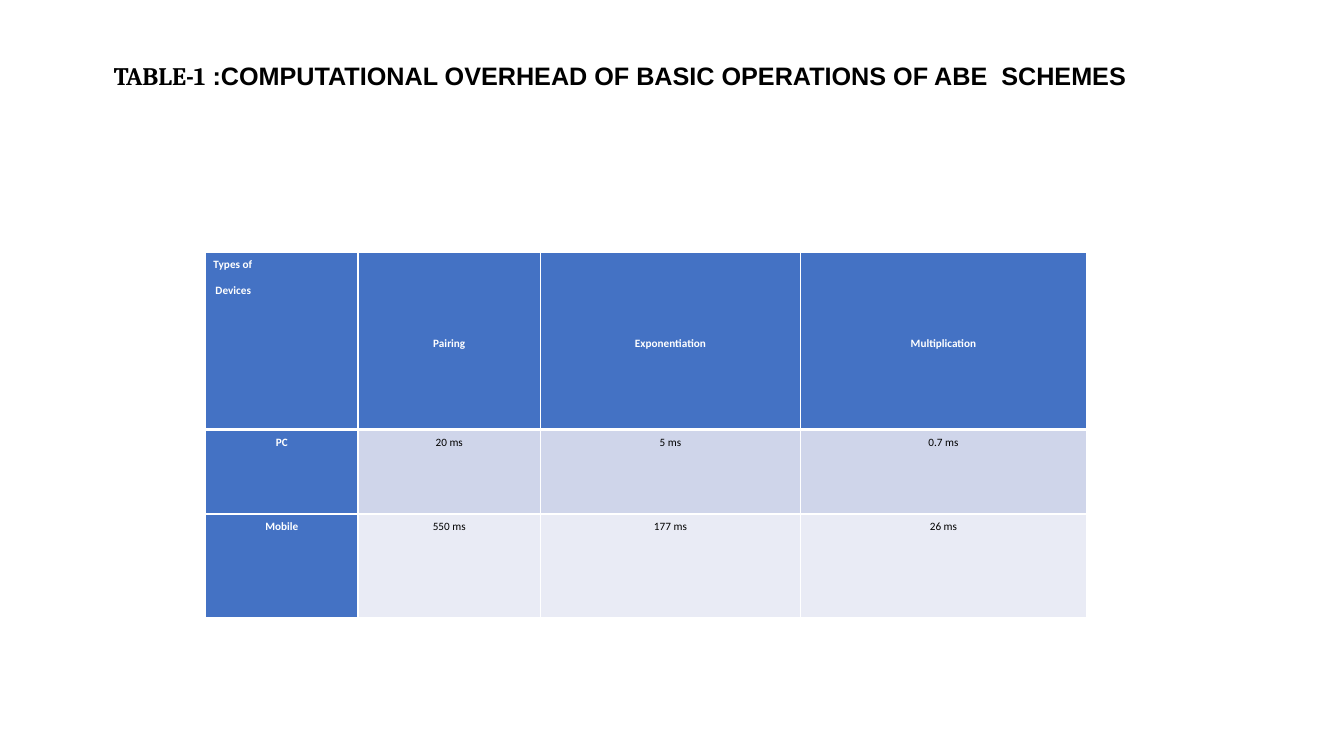
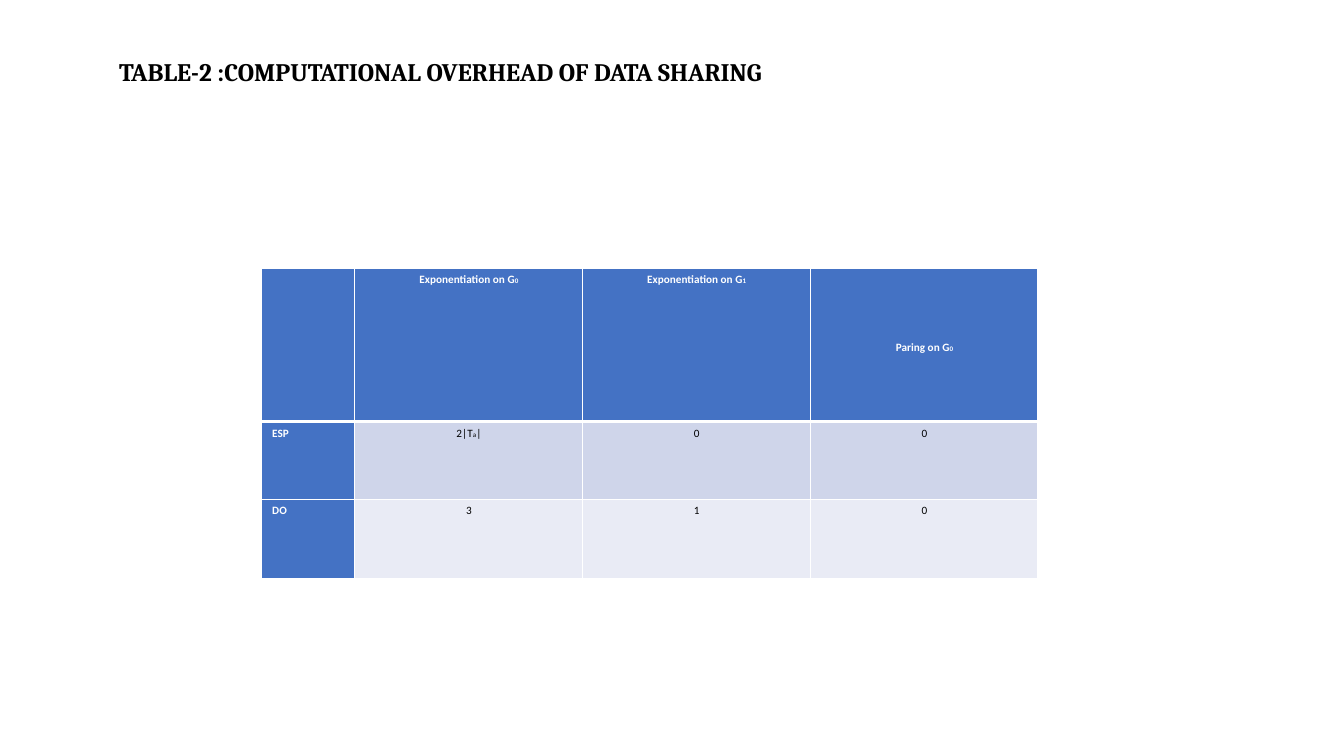
from lxml import etree
from pptx import Presentation
from pptx.dml.color import RGBColor
from pptx.enum.text import MSO_ANCHOR, PP_ALIGN
from pptx.oxml.ns import qn
from pptx.util import Cm, Pt

COLORS = {"black": "000000", "white": "FFFFFF", "head": "4472C4",
          "band_dark": "CFD5EA", "band_light": "E9EBF5"}
BANDS = ("band_dark", "band_light")
TITLE_BOX = (2.34, 1.02, 29.21, 3.68)
TITLE_SIZE, CELL_SIZE, SUBSCRIPT_SIZE = 18, 8, 5
RULE, HEAD_RULE = 1, 3

# Lengths are centimetres. In a cell, underscores enclose a subscript
# and a line break starts a new paragraph.
SLIDES = [
    {
        "title": [("TABLE-1", "Cambria"),
                  (" :COMPUTATIONAL OVERHEAD OF BASIC OPERATIONS OF ABE  SCHEMES ",
                   "Arial")],
        "title_indent": 0.28, "title_spacing": 1.07,
        "corner": (5.18, 6.35),
        "columns": (3.84, 4.6, 6.55, 7.21),
        "rows": (4.47, 2.13, 2.62),
        "insets": (0.2, 0.13, 0.13, 0),
        "cells": [
            ("Types of\nDevices", "Pairing ", "Exponentiation ", "Multiplication "),
            ("PC ", "20 ms ", "5 ms ", "0.7 ms "),
            ("Mobile ", "550 ms ", "177 ms ", "26 ms "),
        ],
        "left_aligned": {(0, 0)},
        "middle": {(0, 1), (0, 2), (0, 3)},
    },
    {
        "title": [("TABLE-2 ", "Cambria"), (":", "Calibri"),
                  ("COMPUTATIONAL OVERHEAD OF DATA SHARING ", "Cambria")],
        "title_indent": 0.41, "title_spacing": 0.94,
        "corner": (6.58, 6.76),
        "columns": (2.36, 5.74, 5.74, 5.74),
        "rows": (3.86, 1.96, 2.01),
        "insets": (0.28, 0.1, 0.2, 0),
        "cells": [
            ("", "Exponentiation on G_0_ ", "Exponentiation on G_1_ ",
             "Paring on G_0_ "),
            ("ESP", "2|T_a_| ", "0 ", "0 "),
            ("DO", "3 ", "1 ", "0 "),
        ],
        "left_aligned": {(1, 0), (2, 0)},
        "middle": {(0, 3)},
    },
]


def rgb(name):
    return RGBColor.from_string(COLORS[name])


def add_run(paragraph, words, font, size, color, bold):
    run = paragraph.add_run()
    run.text = words
    run.font.name = font
    run.font.size = Pt(size)
    run.font.bold = bold
    run.font.color.rgb = rgb(color)


def add_title(slide, content):
    frame = slide.shapes.add_textbox(*map(Cm, TITLE_BOX)).text_frame
    frame.word_wrap = True
    frame.vertical_anchor = MSO_ANCHOR.TOP
    frame.margin_top = Cm(0.45)
    paragraph = frame.paragraphs[0]
    paragraph.line_spacing = content["title_spacing"]
    indent(paragraph, content["title_indent"])
    for words, font in content["title"]:
        add_run(paragraph, words, font, TITLE_SIZE, "black", True)


def indent(paragraph, length):
    paragraph._p.get_or_add_pPr().set("marL", str(Cm(length)))


def add_borders(cell, row):
    """Draw white rules, with a heavier one below the header row."""
    widths = {"L": RULE, "R": RULE,
              "T": HEAD_RULE if row == 1 else RULE,
              "B": HEAD_RULE if row == 0 else RULE}
    properties = cell._tc.get_or_add_tcPr()
    for side, width in widths.items():
        line = etree.SubElement(properties, qn("a:ln" + side), w=str(Pt(width)))
        fill = etree.SubElement(line, qn("a:solidFill"))
        etree.SubElement(fill, qn("a:srgbClr"), val=COLORS["white"])


def write_cell(cell, words, is_head, alignment):
    for number, line in enumerate(words.split("\n")):
        frame = cell.text_frame
        paragraph = frame.add_paragraph() if number else frame.paragraphs[0]
        paragraph.alignment = alignment
        paragraph.line_spacing = 1.07
        paragraph.space_after = Pt(8)
        if number:
            indent(paragraph, 0.05)
        for part, piece in enumerate(line.split("_")):
            if piece:
                add_run(paragraph, piece, "Calibri",
                        SUBSCRIPT_SIZE if part % 2 else CELL_SIZE,
                        "white" if is_head else "black", is_head)


def add_overhead_table(slide, content):
    columns, rows = content["columns"], content["rows"]
    extent = (*content["corner"], sum(columns), sum(rows))
    table = slide.shapes.add_table(len(rows), len(columns), *map(Cm, extent)).table
    for column, width in zip(table.columns, columns):
        column.width = Cm(width)
    for row, height in zip(table.rows, rows):
        row.height = Cm(height)
    for r, values in enumerate(content["cells"]):
        for c, words in enumerate(values):
            cell = table.cell(r, c)
            is_head = r == 0 or c == 0
            (cell.margin_left, cell.margin_top,
             cell.margin_right, cell.margin_bottom) = map(Cm, content["insets"])
            cell.vertical_anchor = (MSO_ANCHOR.MIDDLE if (r, c) in content["middle"]
                                    else MSO_ANCHOR.TOP)
            add_borders(cell, r)
            cell.fill.solid()
            cell.fill.fore_color.rgb = rgb("head" if is_head else BANDS[(r - 1) % 2])
            write_cell(cell, words, is_head,
                       PP_ALIGN.LEFT if (r, c) in content["left_aligned"]
                       else PP_ALIGN.CENTER)


def main():
    deck = Presentation()
    deck.slide_width, deck.slide_height = Cm(33.87), Cm(19.05)
    for content in SLIDES:
        slide = deck.slides.add_slide(deck.slide_layouts[6])
        add_title(slide, content)
        add_overhead_table(slide, content)
    deck.save("out.pptx")


if __name__ == "__main__":
    main()
